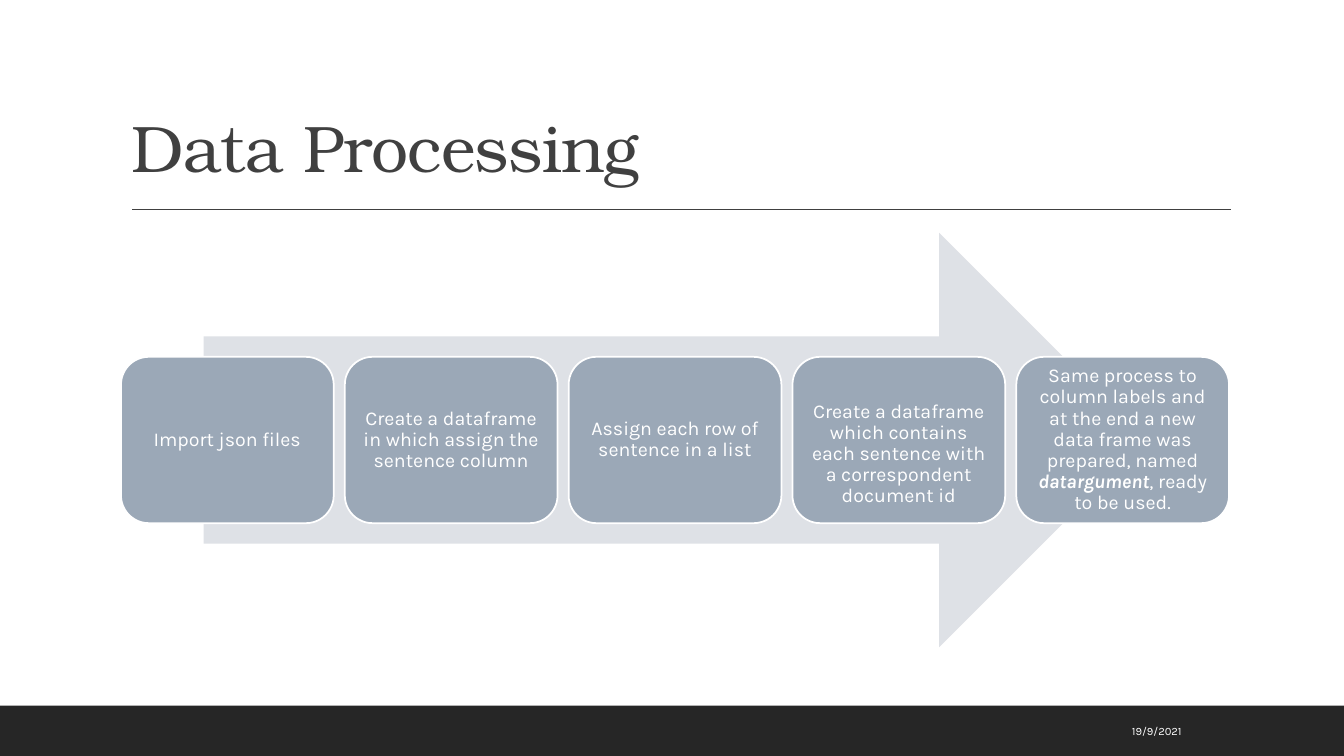
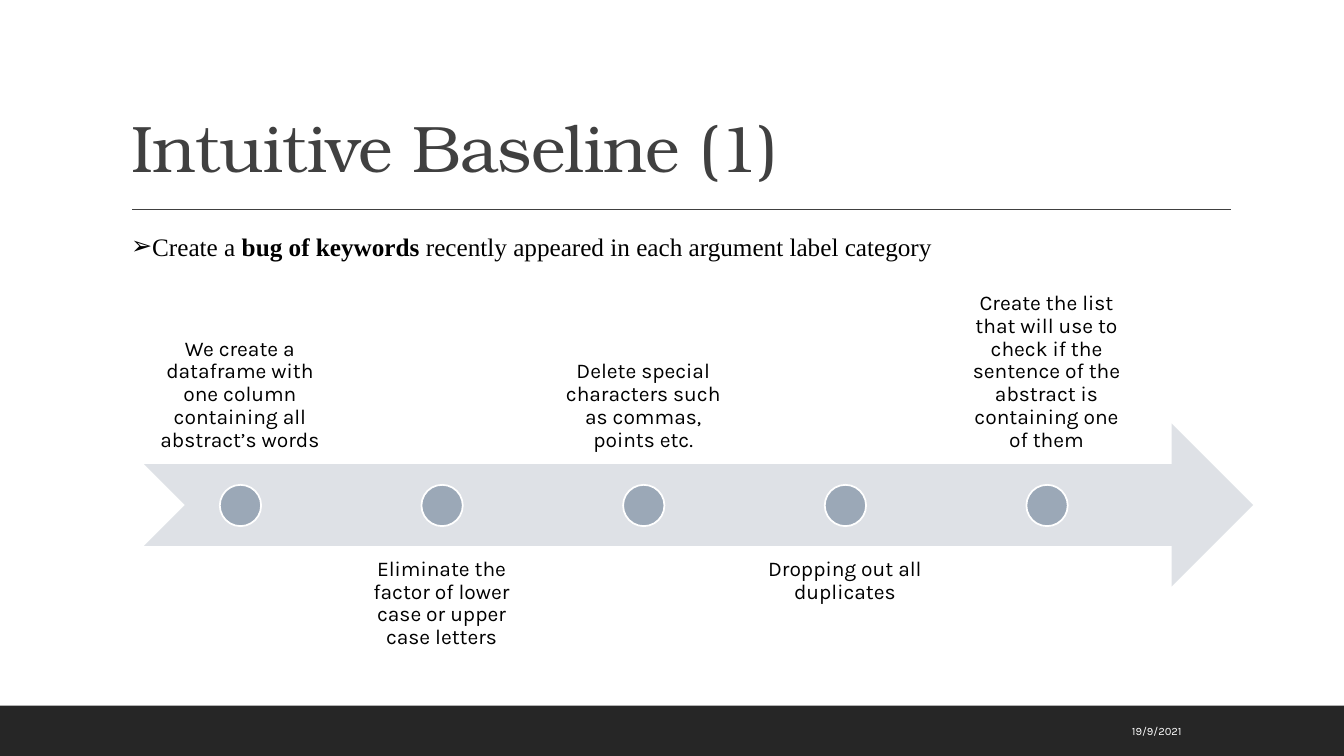
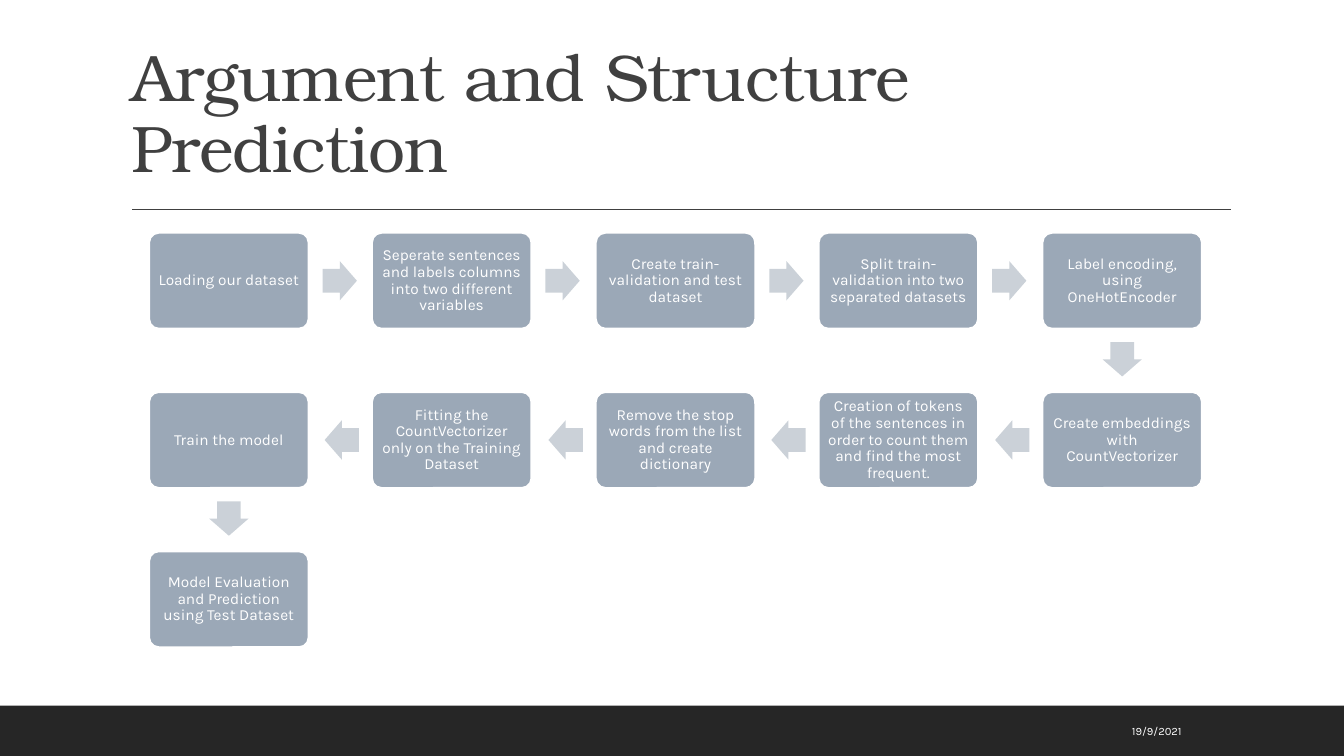
"""Build three slides on data processing, the baseline and the prediction flow."""
from dataclasses import dataclass

from lxml import etree
from pptx import Presentation
from pptx.dml.color import RGBColor
from pptx.enum.shapes import MSO_CONNECTOR, MSO_SHAPE
from pptx.enum.text import MSO_ANCHOR, MSO_AUTO_SIZE, PP_ALIGN
from pptx.oxml.ns import qn
from pptx.util import Emu, Pt

PX = 9144
SLIDE_W, SLIDE_H = 1333, 750

WHITE = RGBColor(0xFF, 0xFF, 0xFF)
BLACK = RGBColor(0x00, 0x00, 0x00)
BAND = RGBColor(0x26, 0x26, 0x26)
INK = RGBColor(0x40, 0x40, 0x40)
STEEL = RGBColor(0x9B, 0xA8, 0xB7)
STEEL_LIGHT = RGBColor(0xCB, 0xD1, 0xD8)
STEEL_PALE = RGBColor(0xDE, 0xE1, 0xE6)

RECT = MSO_SHAPE.RECTANGLE
ROUND_RECT = MSO_SHAPE.ROUNDED_RECTANGLE
OVAL = MSO_SHAPE.OVAL
RIGHT_ARROW = MSO_SHAPE.RIGHT_ARROW
NOTCHED_ARROW = MSO_SHAPE.NOTCHED_RIGHT_ARROW
STRAIGHT = MSO_CONNECTOR.STRAIGHT
LEFT, CENTER, RIGHT = PP_ALIGN.LEFT, PP_ALIGN.CENTER, PP_ALIGN.RIGHT
TOP, MIDDLE, BOTTOM = MSO_ANCHOR.TOP, MSO_ANCHOR.MIDDLE, MSO_ANCHOR.BOTTOM
NO_AUTOFIT = MSO_AUTO_SIZE.NONE

TITLE_ONLY, TITLE_AND_BODY = 5, 1


@dataclass(frozen=True)
class Box:
    """Position and size in px."""
    x: int
    y: int
    w: int
    h: int

    def emu(self) -> tuple:
        """Return the four lengths in EMU."""
        return tuple(Emu(v * PX) for v in (self.x, self.y, self.w, self.h))


@dataclass(frozen=True)
class Style:
    """Look of one block of text, with insets in px."""
    font: str
    size: int
    color: RGBColor
    align: PP_ALIGN = CENTER
    spacing: float = 0.9
    inset_x: int = 10
    inset_y: int = 5


@dataclass(frozen=True)
class Span:
    """Run of text with its emphasis."""
    text: str
    bold: bool = False
    italic: bool = False


@dataclass(frozen=True)
class Step:
    """Process step, its text optionally lowered by extra top inset."""
    spans: tuple
    extra_top: int = 0


TITLE = Style("TeX Gyre Bonum", 47, INK, LEFT)
DATE = Style("Karla", 8, WHITE, RIGHT, 1.0)
LEAD = Style("Times New Roman", 18, BLACK, LEFT, 1.0)
PROCESS = Style("Karla", 14, WHITE, inset_x=6, inset_y=6)
CAPTION = Style("Karla", 15, BLACK, inset_x=12, inset_y=12)
FLOW = Style("Karla", 11, WHITE, inset_x=5, inset_y=5)

PROCESS_STEPS = (
    Step((Span("Import json files"),)),
    Step((Span("Create a dataframe in which assign the sentence column"),)),
    Step((Span("Assign each row of sentence in a list"),)),
    Step((Span("Create a dataframe which contains each sentence with "
               "a correspondent document id"),), extra_top=28),
    Step((Span("Same process to column labels and at the end a new data frame "
               "was prepared, named "),
          Span("datargument", True, True),
          Span(", ready to be used."))),
)

KEYWORD_LEAD = (
    Span("Create a "),
    Span("bug of keywords ", True),
    Span("recently appeared in each argument label category"),
)

BASELINE_STEPS = (
    "We create a dataframe with one column containing all abstract’s words",
    "Eliminate the factor of lower case or upper case letters",
    "Delete special characters such as commas, points etc.",
    "Dropping out all duplicates",
    "Create the list that will use to check if the sentence of the abstract "
    "is containing one of them",
)

FLOW_STEPS = (
    "Loading our dataset",
    "Seperate sentences and labels columns into two different variables",
    "Create train-validation and test dataset",
    "Split train-validation into two separated datasets",
    "Label encoding, using OneHotEncoder",
    "Create embeddings with CountVectorizer",
    "Creation of tokens of the sentences in order to count them and find "
    "the most frequent.",
    "Remove the stop words from the list and create dictionary",
    "Fitting the CountVectorizer only on the Training Dataset",
    "Train the model",
    "Model Evaluation and Prediction using Test Dataset",
)


def write(tf, spans: tuple, style: Style, anchor=MIDDLE, extra_top: int = 0):
    """Write one styled paragraph into a text frame and return it."""
    tf.word_wrap = True
    tf.auto_size = NO_AUTOFIT
    tf.vertical_anchor = anchor
    tf.margin_left = tf.margin_right = Emu(style.inset_x * PX)
    tf.margin_top = Emu((style.inset_y + extra_top) * PX)
    tf.margin_bottom = Emu(style.inset_y * PX)
    p = tf.paragraphs[0]
    p.alignment = style.align
    p.line_spacing = style.spacing
    p.space_before = Pt(0)
    for span in spans:
        r = p.add_run()
        r.text = span.text
        r.font.name = style.font
        r.font.size = Pt(style.size)
        r.font.color.rgb = style.color
        r.font.bold = span.bold
        r.font.italic = span.italic
    return p


def add_shape(s, kind, box: Box, fill: RGBColor, outlined: bool = False):
    """Add a flat preset shape, with a white outline if asked."""
    sp = s.shapes.add_shape(kind, *box.emu())
    sp.shadow.inherit = False
    sp.fill.solid()
    sp.fill.fore_color.rgb = fill
    if outlined:
        sp.line.color.rgb = WHITE
        sp.line.width = Pt(1.25)
    else:
        sp.line.fill.background()
    return sp


def add_text(s, box: Box, text: str, style: Style, anchor=MIDDLE) -> None:
    """Add a text box."""
    sp = s.shapes.add_textbox(*box.emu())
    write(sp.text_frame, (Span(text),), style, anchor)


def place(sp, box: Box) -> None:
    """Move and size a placeholder."""
    sp.left, sp.top, sp.width, sp.height = box.emu()


def add_slide(prs, title: str, layout: int = TITLE_ONLY):
    """Add a slide with the shared title, rule, band and date."""
    s = prs.slides.add_slide(prs.slide_layouts[layout])
    add_shape(s, RECT, Box(0, 700, SLIDE_W, 50), BAND)
    rule = s.shapes.add_connector(
        STRAIGHT, *(Emu(v * PX) for v in (131, 208, 1221, 208)))
    rule.line.color.rgb = INK
    rule.line.width = Pt(1)
    etree.SubElement(rule.element.spPr, qn("a:effectLst"))
    place(s.shapes.title, Box(120, 31, 1100, 159))
    p = write(s.shapes.title.text_frame, (Span(title),), TITLE, BOTTOM)
    p.runs[0].font._element.set("spc", "-50")
    add_text(s, Box(899, 705, 283, 40), "19/9/2021", DATE)
    return s


def add_processing(prs) -> None:
    """Draw the five process boxes over a wide arrow."""
    s = add_slide(prs, "Data Processing")
    add_shape(s, RIGHT_ARROW, Box(202, 231, 935, 411), STEEL_PALE)
    for i, step in enumerate(PROCESS_STEPS):
        sp = add_shape(s, ROUND_RECT, Box(120 + 222 * i, 354, 211, 165),
                       STEEL, outlined=True)
        write(sp.text_frame, step.spans, PROCESS, extra_top=step.extra_top)


def add_baseline(prs) -> None:
    """Draw the timeline with captions alternating above and below."""
    s = add_slide(prs, "Intuitive Baseline (1)", TITLE_AND_BODY)
    body = s.placeholders[1]
    place(body, Box(120, 224, 840, 40))
    p = write(body.text_frame, KEYWORD_LEAD, LEAD, TOP)
    pPr = p._p.get_or_add_pPr()
    pPr.set("marL", "0")
    pPr.set("indent", "0")
    etree.SubElement(pPr, qn("a:buChar")).set("char", "➢")

    add_shape(s, NOTCHED_ARROW, Box(143, 420, 1100, 162), STEEL_PALE)
    for i, text in enumerate(BASELINE_STEPS):
        x = 143 + 200 * i
        y, anchor = (542, TOP) if i % 2 else (298, BOTTOM)
        add_text(s, Box(x, y, 190, 162), text, CAPTION, anchor)
        add_shape(s, OVAL, Box(x + 75, 481, 41, 41), STEEL, outlined=True)


def add_prediction(prs) -> None:
    """Draw the flow that snakes through rows of five boxes."""
    s = add_slide(prs, "Argument and Structure Prediction")
    columns = 5
    for i, text in enumerate(FLOW_STEPS):
        row, col = divmod(i, columns)
        backward = row % 2 == 1
        if backward:
            col = columns - 1 - col
        x, y = 148 + 443 * col // 2, 231 + 158 * row
        sp = add_shape(s, ROUND_RECT, Box(x, y, 158, 95), STEEL, outlined=True)
        sp.adjustments[0] = 0.1
        write(sp.text_frame, (Span(text),), FLOW)
        if i == len(FLOW_STEPS) - 1:
            continue
        if i % columns == columns - 1:
            dx, dy, angle = 62, 106, 90
        elif backward:
            dx, dy, angle = -47, 28, 180
        else:
            dx, dy, angle = 172, 28, 0
        arrow = add_shape(s, RIGHT_ARROW, Box(x + dx, y + dy, 34, 39), STEEL_LIGHT)
        arrow.adjustments[0] = 0.6
        arrow.rotation = angle


def main() -> None:
    """Build and save the presentation."""
    prs = Presentation()
    prs.slide_width, prs.slide_height = Emu(SLIDE_W * PX), Emu(SLIDE_H * PX)
    add_processing(prs)
    add_baseline(prs)
    add_prediction(prs)
    prs.save("out.pptx")


if __name__ == "__main__":
    main()
